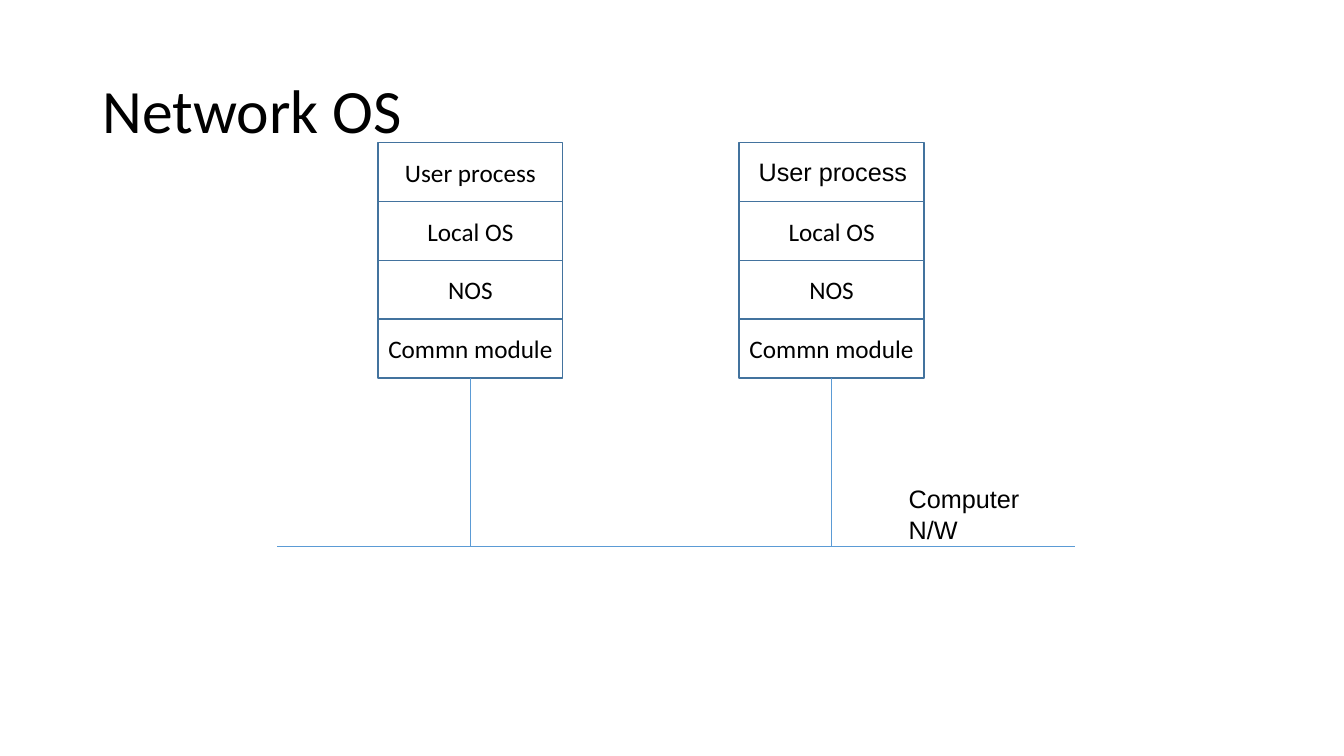
from pptx import Presentation
from pptx.dml.color import RGBColor
from pptx.enum.shapes import MSO_CONNECTOR, MSO_SHAPE
from pptx.enum.text import MSO_ANCHOR, PP_ALIGN
from pptx.oxml.ns import qn
from pptx.util import Inches, Pt
from lxml import etree

LEFT, CENTER = PP_ALIGN.LEFT, PP_ALIGN.CENTER
TOP, MIDDLE = MSO_ANCHOR.TOP, MSO_ANCHOR.MIDDLE
RECT, STRAIGHT = MSO_SHAPE.RECTANGLE, MSO_CONNECTOR.STRAIGHT
BOTTOM = 2  # connection site

# Grid of 160 columns by 90 rows
COLS, ROWS = 160, 90
WIDE, HIGH = Inches(13.33), Inches(7.5)
INK, EDGE, WIRE = "000000", "43739E", "5B9BD5"
LAYERS = ["User process", "Local OS", "NOS", "Commn module"]


def color(code):
    return RGBColor.from_string(code)


def place(col, row):
    return round(col * WIDE / COLS), round(row * HIGH / ROWS)


def write(shape, text, size=18, font="Calibri", align=CENTER, anchor=MIDDLE):
    frame = shape.text_frame
    frame.word_wrap = True
    frame.vertical_anchor = anchor
    para = frame.paragraphs[0]
    para.text = text
    para.alignment = align
    para.font.size = Pt(size)
    para.font.name = font
    para.font.color.rgb = color(INK)
    return para


def label(slide, box, text, **style):
    col, row, wide, high = box
    shape = slide.shapes.add_textbox(*place(col, row), *place(wide, high))
    return write(shape, text, **style)


def wire(slide, start, end):
    line = slide.shapes.add_connector(STRAIGHT, *place(*start), *place(*end))
    line.line.color.rgb = color(WIRE)
    line.line.width = Pt(0.5)
    etree.SubElement(line._element.spPr, qn("a:effectLst"))
    return line


def title(slide, box, text):
    para = label(slide, box, text, size=44, align=LEFT)
    para.line_spacing = 0.9


def stack(slide, box, layers, bus):
    """One computer: its layers, and a wire down to the bus row."""
    col, row, wide, high = box
    step = high / len(layers)
    for i, text in enumerate(layers):
        cell = slide.shapes.add_shape(
            RECT, *place(col, row + i * step), *place(wide, step))
        cell.shadow.inherit = False
        cell.fill.background()
        cell.line.color.rgb = color(EDGE)
        cell.line.width = Pt(1)
        cell.text_frame.margin_left = cell.text_frame.margin_right = Inches(0.05)
        if text:
            write(cell, text)
    mid = col + wide / 2
    wire(slide, (mid, row + high), (mid, bus)).begin_connect(cell, BOTTOM)


def network(slide, box, text):
    """The bus line, with its name above the right end."""
    col, row, wide, high = box
    bus = row + high
    wire(slide, (col, bus), (col + wide, bus))
    label(slide, (col + 74, row, 21.6, 8.5), text,
          font="Arial", align=LEFT, anchor=TOP)


def main():
    deck = Presentation()
    deck.slide_width, deck.slide_height = WIDE, HIGH
    slide = deck.slides.add_slide(deck.slide_layouts[6])

    # Two computers on one bus
    stack(slide, (45, 17, 22, 28), LAYERS, 65)
    stack(slide, (88, 17, 22, 28), [""] + LAYERS[1:], 65)
    label(slide, (89, 18, 20.3, 4.8), LAYERS[0], font="Arial", anchor=TOP)
    network(slide, (33, 57, 95, 8), "Computer N/W")

    # Heading
    title(slide, (11, 4.8, 138, 17.4), "Network OS")
    deck.save("out.pptx")


if __name__ == "__main__":
    main()
